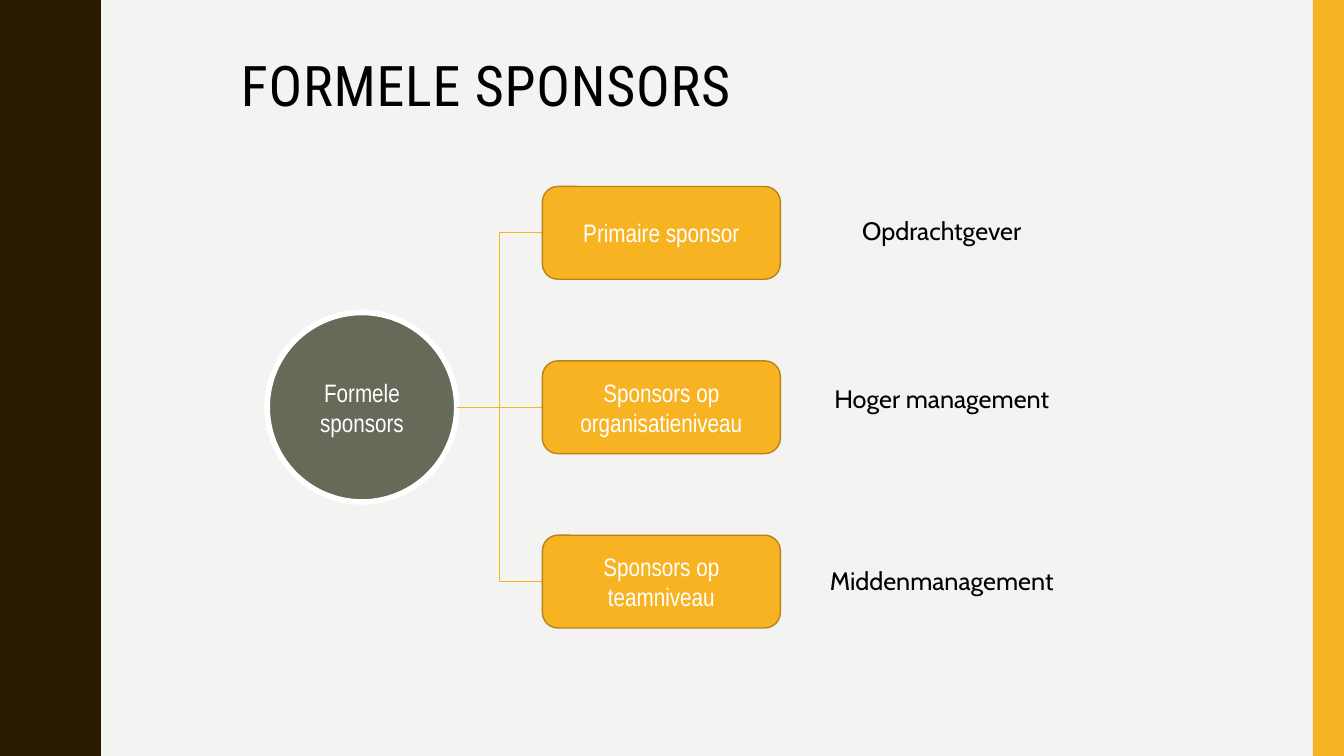
from lxml import etree
from pptx import Presentation
from pptx.dml.color import RGBColor
from pptx.enum.shapes import MSO_CONNECTOR, MSO_SHAPE
from pptx.enum.text import MSO_ANCHOR, MSO_AUTO_SIZE, PP_ALIGN
from pptx.oxml.ns import qn
from pptx.util import Inches, Pt

RECTANGLE, ROUNDED, OVAL = MSO_SHAPE.RECTANGLE, MSO_SHAPE.ROUNDED_RECTANGLE, MSO_SHAPE.OVAL
ELBOW = MSO_CONNECTOR.ELBOW
LEFT, CENTER = PP_ALIGN.LEFT, PP_ALIGN.CENTER
MIDDLE, BOTTOM, TOP = MSO_ANCHOR.MIDDLE, MSO_ANCHOR.BOTTOM, MSO_ANCHOR.TOP

# Content
TITLE = "FORMELE SPONSORS"
ROOT = "Formele sponsors"
# Sponsor, role, top of the role text
BRANCHES = [
    ("Primaire sponsor", "Opdrachtgever", 2.09),
    ("Sponsors op organisatieniveau", "Hoger management", 3.75),
    ("Sponsors op teamniveau", "Middenmanagement", 5.56),
]

# Formats
YELLOW, OCHRE, GREEN, BROWN = "F8B323", "B7841A", "656A59", "2A1A00"
WHITE, BLACK, BACKGROUND = "FFFFFF", "000000", "F3F3F2"
TITLE_FONT = {"name": "Roboto Condensed", "size": Pt(40), "bold": False}
NODE_FONT = {"name": "Arial Narrow", "size": Pt(18)}
ROLE_FONT = {"name": "Cabin", "size": Pt(18)}

# Layout in inches
WIDTH, HEIGHT = 13.33, 7.5
BAR_WIDTH = 0.31
CIRCLE_LEFT, CIRCLE_SIZE = 2.65, 1.88
BOX_LEFT, BOX_TOP, BOX_WIDTH, BOX_HEIGHT, BOX_STEP = 5.38, 1.85, 2.36, 0.92, 1.73
ROLE_LEFT, ROLE_WIDTH, ROLE_HEIGHT = 8.12, 2.44, 0.4

# Wavy edge: half a wave as (x, y), mirrored and repeated
WAVES, WAVE_HEIGHT = 5, 1.5
HALF_WAVE = [
    (0.78, 0), (0.78, 0.07), (0.79, 0.14), (0.8, 0.2), (0.81, 0.25),
    (0.83, 0.29), (0.85, 0.33), (0.87, 0.38), (0.89, 0.42), (0.91, 0.46),
    (0.93, 0.5), (0.95, 0.55), (0.96, 0.61), (0.97, 0.68), (0.97, 0.75),
]


def color(hex_value):
    return RGBColor.from_string(hex_value)


def paint(shape, fill, line=None, line_width=1):
    shape.shadow.inherit = False
    shape.fill.solid()
    shape.fill.fore_color.rgb = color(fill)
    if line:
        shape.line.color.rgb = color(line)
        shape.line.width = Pt(line_width)
    else:
        shape.line.fill.background()


def write(shape, text, font_format, font_color, align=CENTER, anchor=MIDDLE):
    frame = shape.text_frame
    frame.word_wrap = True
    frame.vertical_anchor = anchor
    paragraph = frame.paragraphs[0]
    paragraph.alignment = align
    run = paragraph.add_run()
    run.text = text
    for name, value in font_format.items():
        setattr(run.font, name, value)
    run.font.color.rgb = color(font_color)
    return paragraph


def add_shape(slide, kind, left, top, width, height, *style):
    shape = slide.shapes.add_shape(
        kind, Inches(left), Inches(top), Inches(width), Inches(height))
    paint(shape, *style)
    return shape


def add_wave(slide):
    wave = HALF_WAVE + [(x, WAVE_HEIGHT - y) for x, y in HALF_WAVE[-2:0:-1]]
    edge = [(x, y + number * WAVE_HEIGHT) for number in range(WAVES) for x, y in wave]
    edge += [(HALF_WAVE[0][0], HEIGHT), (0, HEIGHT)]
    builder = slide.shapes.build_freeform(0, 0, scale=Inches(1))
    builder.add_line_segments(edge, close=True)
    paint(builder.convert_to_shape(), BROWN)


def add_branch_line(slide, start_x, start_y, end_x, end_y):
    connector = slide.shapes.add_connector(
        ELBOW, Inches(start_x), Inches(start_y), Inches(end_x), Inches(end_y))
    connector.line.color.rgb = color(YELLOW)
    connector.line.width = Pt(0.5)
    etree.SubElement(connector.line._get_or_add_ln().getparent(), qn("a:effectLst"))


def add_title(slide):
    title = slide.shapes.title
    title.left, title.top = Inches(2.29), Inches(-0.22)
    title.width, title.height = Inches(8.62), Inches(1.45)
    paragraph = write(title, TITLE, TITLE_FONT, BLACK, LEFT, BOTTOM)
    title.text_frame.auto_size = MSO_AUTO_SIZE.NONE
    paragraph.line_spacing = 0.9
    paragraph.runs[0].font._element.set("spc", "60")


def main():
    presentation = Presentation()
    presentation.slide_width, presentation.slide_height = Inches(WIDTH), Inches(HEIGHT)
    slide = presentation.slides.add_slide(presentation.slide_layouts[5])
    slide.background.fill.solid()
    slide.background.fill.fore_color.rgb = color(BACKGROUND)

    # Side decoration and title
    add_wave(slide)
    add_shape(slide, RECTANGLE, WIDTH - BAR_WIDTH, 0, BAR_WIDTH, HEIGHT, YELLOW)
    add_title(slide)

    # Root circle, level with the middle box
    center_y = BOX_TOP + BOX_STEP * (len(BRANCHES) - 1) / 2 + BOX_HEIGHT / 2
    circle = add_shape(slide, OVAL, CIRCLE_LEFT, center_y - CIRCLE_SIZE / 2,
                       CIRCLE_SIZE, CIRCLE_SIZE, GREEN, WHITE, 4)
    write(circle, ROOT, NODE_FONT, WHITE)

    # Branches: line, box and role
    for row, (sponsor, role, role_top) in enumerate(BRANCHES):
        top = BOX_TOP + row * BOX_STEP
        add_branch_line(slide, CIRCLE_LEFT + CIRCLE_SIZE, center_y,
                        BOX_LEFT, top + BOX_HEIGHT / 2)
        box = add_shape(slide, ROUNDED, BOX_LEFT, top, BOX_WIDTH, BOX_HEIGHT,
                        YELLOW, OCHRE)
        write(box, sponsor, NODE_FONT, WHITE)
        label = slide.shapes.add_textbox(Inches(ROLE_LEFT), Inches(role_top),
                                         Inches(ROLE_WIDTH), Inches(ROLE_HEIGHT))
        write(label, role, ROLE_FONT, BLACK, anchor=TOP)
        label.text_frame.auto_size = MSO_AUTO_SIZE.SHAPE_TO_FIT_TEXT

    presentation.save("out.pptx")


if __name__ == "__main__":
    main()
